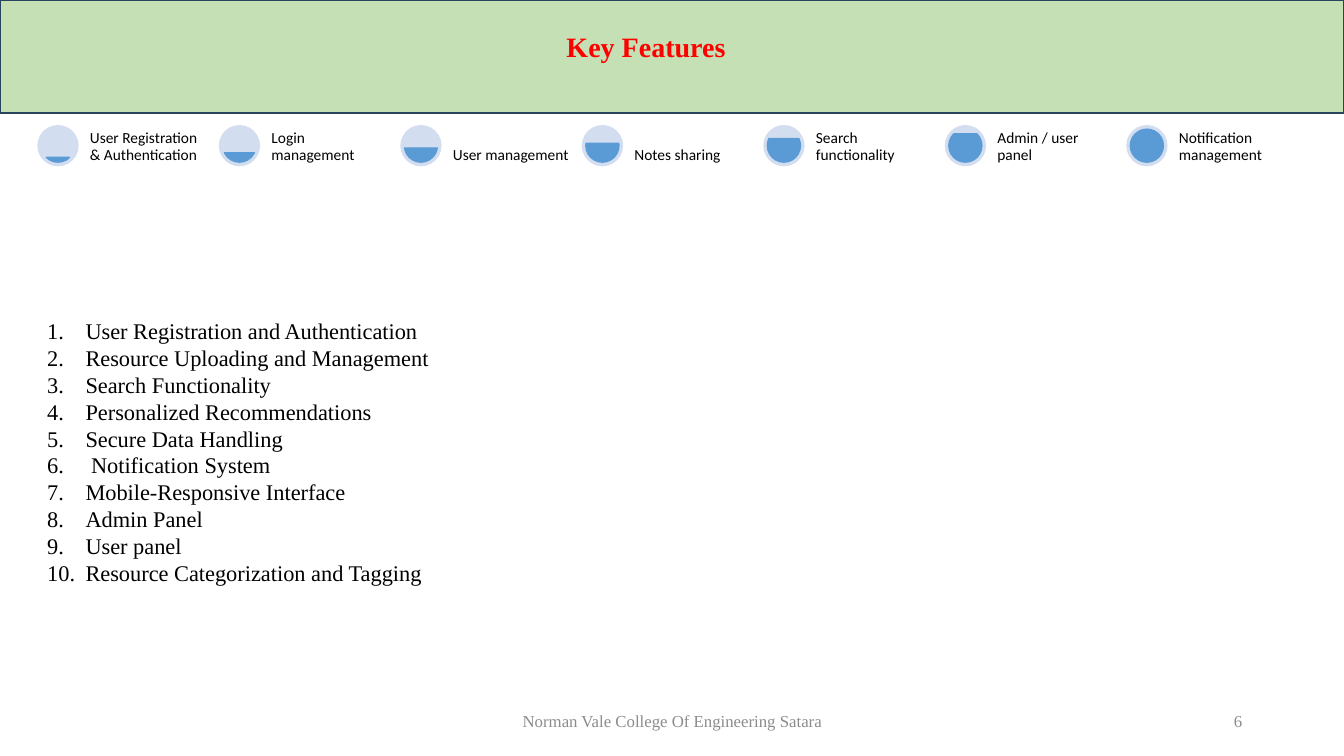
from math import asin, degrees

from lxml import etree
from pptx import Presentation
from pptx.dml.color import RGBColor
from pptx.enum.shapes import MSO_SHAPE
from pptx.enum.text import MSO_ANCHOR, PP_ALIGN
from pptx.oxml.ns import qn
from pptx.util import Inches, Pt

RECT, OVAL, CHORD = MSO_SHAPE.RECTANGLE, MSO_SHAPE.OVAL, MSO_SHAPE.CHORD
TOP, MIDDLE, BOTTOM = MSO_ANCHOR.TOP, MSO_ANCHOR.MIDDLE, MSO_ANCHOR.BOTTOM
LEFT, CENTER, RIGHT = PP_ALIGN.LEFT, PP_ALIGN.CENTER, PP_ALIGN.RIGHT

BLACK = RGBColor(0x00, 0x00, 0x00)
RED = RGBColor(0xFF, 0x00, 0x00)
GRAY = RGBColor(0x8C, 0x8C, 0x8C)
GREEN = RGBColor(0xC5, 0xE0, 0xB4)
NAVY = RGBColor(0x28, 0x44, 0x5D)
PALE = RGBColor(0xD2, 0xDE, 0xEF)
BLUE = RGBColor(0x5B, 0x9B, 0xD5)

SERIF, SANS = "Times New Roman", "Calibri"
WIDE, HIGH = 13.33, 7.5

STEPS = [
    "User Registration & Authentication", "Login management",
    "User management", "Notes sharing", "Search functionality",
    "Admin / user panel", "Notification management",
]
ITEMS = [
    "User Registration and Authentication",
    "Resource Uploading and Management", "Search Functionality",
    "Personalized Recommendations", "Secure Data Handling",
    " Notification System", "Mobile-Responsive Interface", "Admin Panel",
    "User panel", "Resource Categorization and Tagging",
]


def place(part, box):
    part.left, part.top, part.width, part.height = map(Inches, box)


def add_run(para, text, font, size, color, bold=False):
    run = para.add_run()
    run.text = text
    run.font.name, run.font.size, run.font.bold = font, Pt(size), bold
    run.font.color.rgb = color


def set_frame(frame, anchor, sides=0.1, ends=0.05):
    frame.word_wrap = True
    frame.vertical_anchor = anchor
    frame.margin_left = frame.margin_right = Inches(sides)
    frame.margin_top = frame.margin_bottom = Inches(ends)


def add_frame(slide, box, anchor, sides=0.1, ends=0.05):
    frame = slide.shapes.add_textbox(*map(Inches, box)).text_frame
    set_frame(frame, anchor, sides, ends)
    return frame


def add_form(slide, kind, box, fill, line=None):
    form = slide.shapes.add_shape(kind, *map(Inches, box))
    form.shadow.inherit = False
    form.fill.solid()
    form.fill.fore_color.rgb = fill
    if line is None:
        form.line.fill.background()
    else:
        form.line.color.rgb = line
        form.line.width = Pt(1)
    return form


def add_header(slide, box):
    """Green band with the title on it."""
    left, top, width, height = box
    band = add_form(slide, RECT, box, GREEN, NAVY)
    title = slide.shapes.title
    title.element.addprevious(band.element)
    place(title, (left + 0.414 * width, top + 0.24, 4.7, 0.44))
    set_frame(title.text_frame, TOP)
    para = title.text_frame.paragraphs[0]
    para.alignment = LEFT
    add_run(para, "Key Features", SERIF, 20, RED, True)


def add_steps(slide, box):
    """Row of discs, each one filled a step further than the last."""
    left, top, width, size = box
    pitch = width / len(STEPS)
    rim = size / 10
    for col, text in enumerate(STEPS):
        x = left + col * pitch
        add_form(slide, OVAL, (x, top, size, size), PALE)

        # Level of the fill: the chord's ends sit at equal height
        level = (col + 1) / len(STEPS)
        start = degrees(asin(1 - 2 * level))
        inner = size - 2 * rim
        fill = add_form(slide, CHORD, (x + rim, top + rim, inner, inner),
                        BLUE, BLUE)
        for i, angle in enumerate((start, 180 - start)):
            fill.adjustments[i] = angle % 360 * 0.6

        # Label
        frame = add_frame(slide, (x + 1.2 * size, top, 1.22, size),
                          BOTTOM, 0.03, 0.03)
        para = frame.paragraphs[0]
        para.line_spacing = 0.9
        add_run(para, text, SANS, 11, BLACK)


def add_list(slide, box):
    """Numbered list of features."""
    frame = add_frame(slide, box, MIDDLE)
    frame.margin_top = Inches(0.39)
    for row, text in enumerate(ITEMS):
        para = frame.add_paragraph() if row else frame.paragraphs[0]
        add_run(para, text, SERIF, 16, BLACK)
        props = para._p.get_or_add_pPr()
        props.set("marL", str(Inches(0.38)))
        props.set("indent", str(-Inches(0.38)))
        etree.SubElement(props, qn("a:buFont"), typeface="+mj-lt")
        etree.SubElement(props, qn("a:buAutoNum"), type="arabicPeriod")


def add_footer(slide, box):
    """College name in the middle, page number at the right."""
    left, top, width, height = box
    notes = [
        ("Norman Vale College Of Engineering Satara", 0, 4.5, CENTER),
        ("6", width - 3, 3, RIGHT),
    ]
    for text, shift, span, align in notes:
        frame = add_frame(slide, (left + shift, top, span, height), MIDDLE)
        para = frame.paragraphs[0]
        para.alignment = align
        add_run(para, text, SERIF, 12, GRAY)


def main():
    deck = Presentation()
    deck.slide_width, deck.slide_height = Inches(WIDE), Inches(HIGH)
    slide = deck.slides.add_slide(deck.slide_layouts[5])
    add_footer(slide, (4.42, 6.95, 8, 0.4))
    add_header(slide, (0, 0, WIDE, 1.12))
    add_list(slide, (0.37, 2.76, 10.3, 3.1))
    add_steps(slide, (0.37, 1.24, 12.6, 0.41))
    deck.save("out.pptx")


if __name__ == "__main__":
    main()
